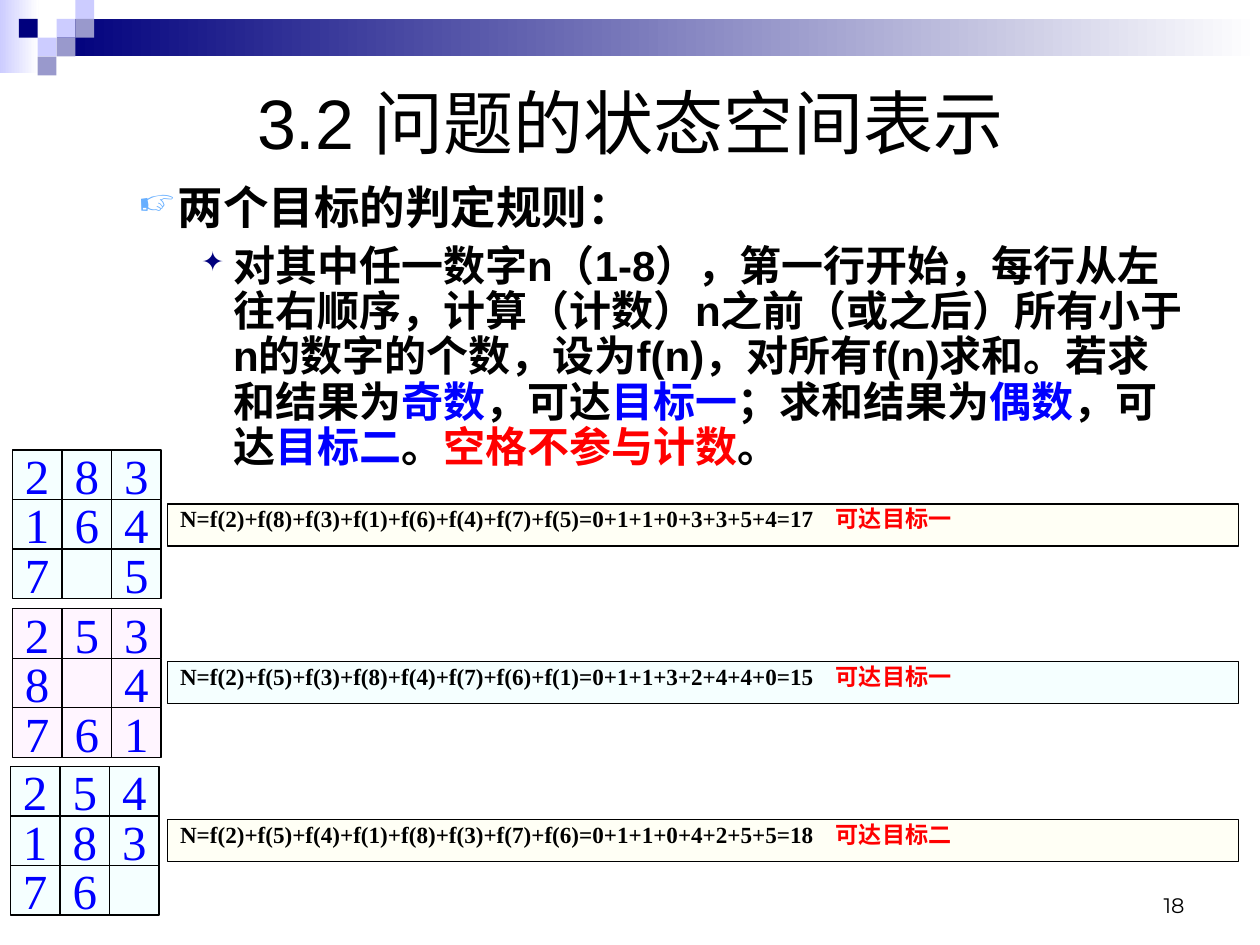
"""Build the slide on the goal test rules of the eight-number puzzle."""
from dataclasses import dataclass

from lxml import etree
from pptx import Presentation
from pptx.dml.color import RGBColor
from pptx.enum.shapes import MSO_SHAPE
from pptx.enum.text import MSO_ANCHOR, MSO_AUTO_SIZE, PP_ALIGN
from pptx.oxml.ns import qn
from pptx.util import Cm, Pt

RECTANGLE = MSO_SHAPE.RECTANGLE
TOP, MIDDLE, BOTTOM = MSO_ANCHOR.TOP, MSO_ANCHOR.MIDDLE, MSO_ANCHOR.BOTTOM
CENTER, RIGHT, JUSTIFY = PP_ALIGN.CENTER, PP_ALIGN.RIGHT, PP_ALIGN.JUSTIFY
NO_FIT = MSO_AUTO_SIZE.NONE


@dataclass(frozen=True)
class Theme:
    """Colours, fonts and type sizes of the deck."""
    black: str = "000000"
    white: str = "FFFFFF"
    blue: str = "0000FF"
    red: str = "FF0000"
    navy: str = "00007D"
    lilac: str = "CCCCFF"
    violet: str = "9999CC"
    sky: str = "67AFFF"
    mint: str = "F5FFFF"
    rose: str = "FFF5FF"
    cream: str = "FFFFF5"
    sans: str = "Arial"
    serif: str = "Times New Roman"
    number_font: str = "Montserrat"
    title_size: float = 40
    heading_size: float = 26
    rule_size: float = 24
    digit_size: float = 28
    formula_size: float = 13.2
    number_size: float = 12
    line_width: float = 0.75


@dataclass
class SlideBuilder:
    """Adds styled elements to the current slide."""
    theme: Theme
    slide: object

    def rectangle(self, left, top, width, height, fill, end_fill=None, outlined=False):
        """Add a rectangle with a solid fill or a left-to-right gradient."""
        box = self.slide.shapes.add_shape(
            RECTANGLE, Cm(left), Cm(top), Cm(width), Cm(height))
        box.shadow.inherit = False
        if end_fill:
            box.fill.gradient()
            box.fill.gradient_angle = 0
            for stop, color in zip(box.fill.gradient_stops, (fill, end_fill)):
                stop.color.rgb = RGBColor.from_string(color)
        else:
            box.fill.solid()
            box.fill.fore_color.rgb = RGBColor.from_string(fill)
        if outlined:
            box.line.color.rgb = RGBColor.from_string(self.theme.black)
            box.line.width = Pt(self.theme.line_width)
        else:
            box.line.fill.background()
        return box

    def text_box(self, left, top, width, height, anchor=TOP):
        """Add a wrapping text box and return its frame."""
        box = self.slide.shapes.add_textbox(Cm(left), Cm(top), Cm(width), Cm(height))
        return self.frame(box, anchor)

    def frame(self, box, anchor, wrap=True):
        """Set the anchor and wrapping of a shape's text."""
        frame = box.text_frame
        frame.auto_size = NO_FIT
        frame.word_wrap = wrap
        frame.vertical_anchor = anchor
        return frame

    def spans(self, para, parts, font, size, bold=False):
        """Add (text, colour) runs to a paragraph."""
        for text, color in parts:
            span = para.add_run()
            span.text = text
            span.font.name = font
            span.font.size = Pt(size)
            span.font.bold = bold
            span.font.color.rgb = RGBColor.from_string(color)

    def bullet(self, para, mark, color, percent, margin, hanging):
        """Give a paragraph a coloured bullet and a hanging indent."""
        props = para._p.get_or_add_pPr()
        props.set("marL", str(Cm(margin)))
        props.set("indent", str(-Cm(hanging)))
        tint = etree.SubElement(props, qn("a:buClr"))
        etree.SubElement(tint, qn("a:srgbClr"), val=color)
        etree.SubElement(props, qn("a:buSzPct"), val=str(percent * 1000))
        etree.SubElement(props, qn("a:buChar"), char=mark)
        para.line_spacing = 0.9

    def title(self, text):
        """Place and fill the title placeholder."""
        holder = self.slide.shapes.title
        holder.left, holder.top = Cm(1.27), Cm(1.27)
        holder.width, holder.height = Cm(22.86), Cm(2.34)
        para = self.frame(holder, MIDDLE).paragraphs[0]
        para.alignment = CENTER
        self.spans(para, [(text, self.theme.black)], self.theme.sans, self.theme.title_size)

    def decoration(self):
        """Draw the gradient bar and the mosaic at the top."""
        theme, step = self.theme, 0.38
        self.rectangle(0, 0, 0.78, 1.47, theme.lilac, theme.white)
        self.rectangle(3 * step, step, 24.26, 0.75, theme.navy, theme.white)
        tiles = ((3, 1, theme.lilac), (4, 0, theme.lilac), (4, 1, theme.violet),
                 (2, 2, theme.lilac), (1, 1, theme.navy), (3, 2, theme.violet),
                 (2, 3, theme.violet))
        for column, row, color in tiles:
            self.rectangle(column * step, row * step, step, step, color)

    def rules(self, heading, parts):
        """Write the heading and the rule below it."""
        theme = self.theme
        frame = self.text_box(1.27, 3.61, 22.86, 6.55)
        para = frame.paragraphs[0]
        self.bullet(para, "☞", theme.sky, 80, 2.06, 0.79)
        self.spans(para, [(heading, theme.black)], theme.sans, theme.heading_size, True)
        para = frame.add_paragraph()
        self.bullet(para, "✦", theme.navy, 65, 3.18, 0.64)
        para.space_before = Pt(6)
        self.spans(para, parts, theme.sans, theme.rule_size, True)

    def puzzle(self, left, top, rows, fill):
        """Draw a three by three board, where a space is the empty cell."""
        theme, side = self.theme, 1
        for row, digits in enumerate(rows):
            for column, digit in enumerate(digits):
                cell = self.rectangle(left + column * side, top + row * side,
                                      side, side, fill, outlined=True)
                if digit != " ":
                    para = self.frame(cell, MIDDLE, wrap=False).paragraphs[0]
                    para.alignment = CENTER
                    self.spans(para, [(digit, theme.blue)], theme.serif, theme.digit_size)

    def formula(self, top, order, counts, total, verdict, fill):
        """Write the sum for a board and the goal it can reach."""
        theme = self.theme
        box = self.rectangle(3.38, top, 21.59, 0.85, fill, outlined=True)
        para = self.frame(box, TOP).paragraphs[0]
        tabs = etree.SubElement(para._p.get_or_add_pPr(), qn("a:tabLst"))
        etree.SubElement(tabs, qn("a:tab"), pos=str(Cm(13.22)), algn="l")
        para.alignment = JUSTIFY
        para.line_spacing = 0.8
        terms = "+".join(f"f({digit})" for digit in order)
        parts = [(f"N={terms}={'+'.join(counts)}={total}\t", theme.black),
                 (verdict, theme.red)]
        self.spans(para, parts, theme.serif, theme.formula_size, True)

    def page_number(self, text):
        """Write the page number at the lower right."""
        theme = self.theme
        para = self.text_box(18.21, 17.35, 5.92, 1.27, BOTTOM).paragraphs[0]
        para.alignment = RIGHT
        self.spans(para, [(text, theme.black)], theme.number_font, theme.number_size)


def main():
    """Build and save the deck."""
    deck = Presentation()
    deck.slide_width, deck.slide_height = Cm(25.4), Cm(19.05)
    theme = Theme()
    page = SlideBuilder(theme, deck.slides.add_slide(deck.slide_layouts[5]))
    page.decoration()
    page.title("3.2 问题的状态空间表示")
    page.rules("两个目标的判定规则：", [
        ("对其中任一数字n（1-8），第一行开始，每行从左往右顺序，计算（计数）n之前"
         "（或之后）所有小于n的数字的个数，设为f(n)，对所有f(n)求和。若求和结果为", theme.black),
        ("奇数", theme.blue), ("，可达", theme.black), ("目标一", theme.blue),
        ("；求和结果为", theme.black), ("偶数", theme.blue), ("，可达", theme.black),
        ("目标二", theme.blue), ("。", theme.black),
        ("空格不参与计数", theme.red), ("。", theme.black)])
    boards = (
        (0.25, 9.07, ("283", "164", "7 5"), theme.mint,
         "28316475", "01103354", 17, "可达目标一", theme.cream),
        (0.25, 12.27, ("253", "8 4", "761"), theme.rose,
         "25384761", "01132440", 15, "可达目标一", theme.mint),
        (0.21, 15.45, ("254", "183", "76 "), theme.mint,
         "25418376", "01104255", 18, "可达目标二", theme.cream))
    for index, (left, top, rows, fill, *result) in enumerate(boards):
        page.puzzle(left, top, rows, fill)
        page.formula(10.16 + index * 3.18, *result)
    page.page_number("18")
    deck.save("out.pptx")


if __name__ == "__main__":
    main()
